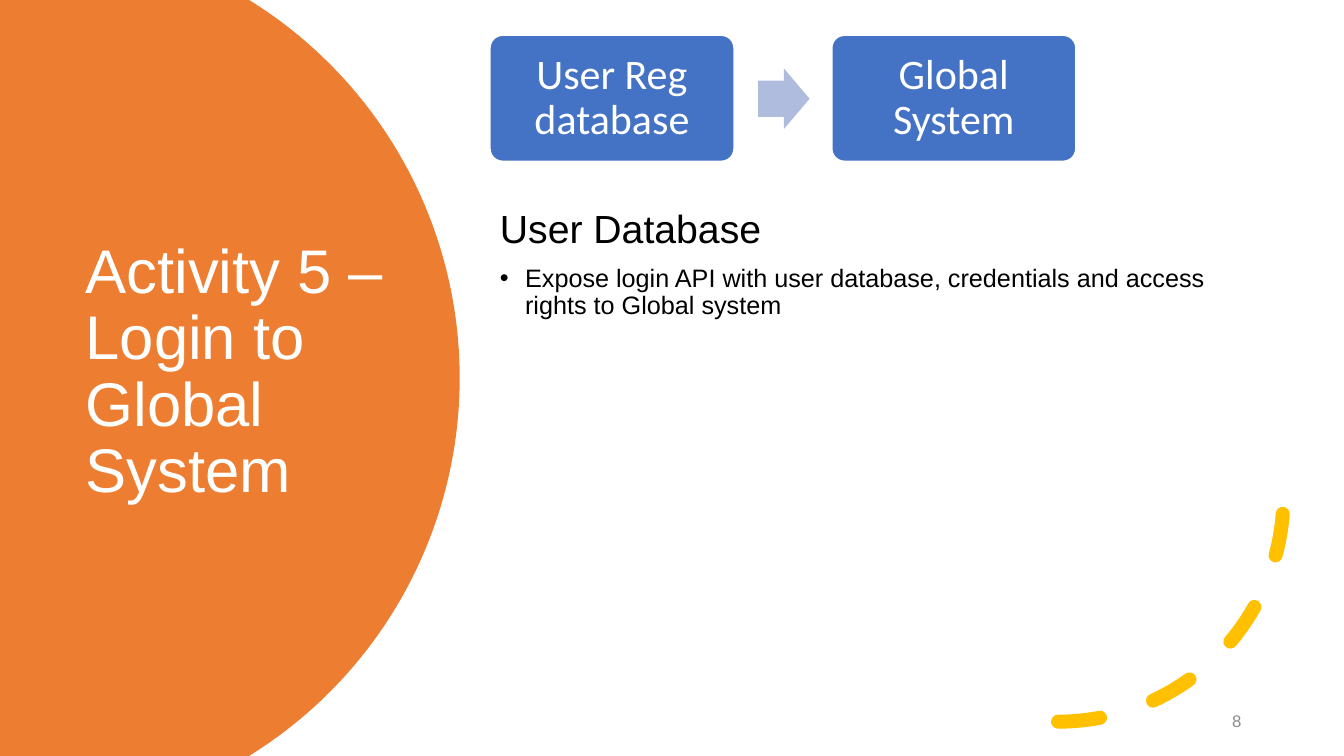
import math
from dataclasses import dataclass

import pptx
import pptx.dml.color
import pptx.enum.dml
import pptx.enum.shapes
import pptx.enum.text
import pptx.oxml.ns
import pptx.util
from lxml import etree

Inches = pptx.util.Inches
Pt = pptx.util.Pt
Shape = pptx.enum.shapes.MSO_SHAPE
Align = pptx.enum.text.PP_ALIGN
Anchor = pptx.enum.text.MSO_ANCHOR
qn = pptx.oxml.ns.qn


@dataclass(frozen=True)
class Theme:
    orange: str = "ED7D31"
    blue: str = "4472C4"
    pale_blue: str = "B0BCDE"
    gold: str = "FFC000"
    white: str = "FFFFFF"
    black: str = "000000"
    gray: str = "8C8C8C"
    font: str = "Arial"
    card_font: str = "Calibri"
    title: int = 44
    card: int = 30
    heading: int = 28
    body: int = 18
    number: int = 12


def color(value):
    return pptx.dml.color.RGBColor.from_string(value)


def write(frame, text, *, size, ink, font, align=Align.LEFT, spacing=0.9,
          before=0, bullet=False):
    """Fill the empty first paragraph, or add another one."""
    para = frame.paragraphs[0]
    if para.runs:
        para = frame.add_paragraph()
    para.alignment = align
    para.line_spacing = spacing
    para.space_before = Pt(before)
    span = para.add_run()
    span.text = text
    span.font.size = Pt(size)
    span.font.name = font
    span.font.color.rgb = color(ink)
    if bullet:
        props = para._p.get_or_add_pPr()
        props.set("marL", str(Inches(0.25)))
        props.set("indent", str(Inches(-0.25)))
        etree.SubElement(props, qn("a:buFont")).set("typeface", "Arial")
        etree.SubElement(props, qn("a:buChar")).set("char", "•")


class SlideBuilder:
    def __init__(self, slide, theme):
        self.slide = slide
        self.theme = theme

    def paint(self, shape, fill=None, line=None, weight=1):
        shape.shadow.inherit = False
        if fill:
            shape.fill.solid()
            shape.fill.fore_color.rgb = color(fill)
        else:
            shape.fill.background()
        if line:
            shape.line.color.rgb = color(line)
            shape.line.width = Pt(weight)
        else:
            shape.line.fill.background()
        return shape

    def shape(self, kind, left, top, width, height, adjust=(), **style):
        shape = self.slide.shapes.add_shape(
            kind, Inches(left), Inches(top), Inches(width), Inches(height))
        for index, value in enumerate(adjust):
            shape.adjustments[index] = value
        return self.paint(shape, **style)

    def outline(self, points, fill):
        scaled = [(Inches(x), Inches(y)) for x, y in points]
        builder = self.slide.shapes.build_freeform(*scaled[0], scale=1.0)
        builder.add_line_segments(scaled[1:], close=True)
        return self.paint(builder.convert_to_shape(), fill=fill)

    def textbox(self, left, top, width, height, anchor=Anchor.TOP):
        box = self.slide.shapes.add_textbox(
            Inches(left), Inches(top), Inches(width), Inches(height))
        frame = box.text_frame
        frame.word_wrap = True
        frame.vertical_anchor = anchor
        return frame

    def card(self, text, left, top, width, height):
        theme = self.theme
        card = self.shape(Shape.ROUNDED_RECTANGLE, left, top, width, height,
                          adjust=[0.1], fill=theme.blue, line=theme.white)
        frame = card.text_frame
        frame.word_wrap = True
        frame.vertical_anchor = Anchor.MIDDLE
        frame.margin_left = frame.margin_right = Inches(0.16)
        frame.margin_top = frame.margin_bottom = Inches(0.16)
        write(frame, text, size=theme.card, ink=theme.white,
              font=theme.card_font, align=Align.CENTER)

    def dashed_arc(self, left, top, size):
        arc = self.shape(Shape.ARC, left, top, size, size,
                         line=self.theme.gold, weight=10)
        arc._element.spPr.find(qn("a:xfrm")).set("flipV", "1")
        arc.line.dash_style = pptx.enum.dml.MSO_LINE.DASH
        line = arc._element.spPr.find(qn("a:ln"))
        line.set("cap", "rnd")
        etree.SubElement(line, qn("a:round"))


deck = pptx.Presentation()
deck.slide_width, deck.slide_height = Inches(13.33), Inches(7.5)
page = deck.slides.add_slide(deck.slide_layouts[6])
theme = Theme()
builder = SlideBuilder(page, theme)

# Orange panel: the slide's left edge closed by a circular arc
radius, center_x, center_y = 4.41, 0.15, 3.75
sweep = math.asin(center_y / radius)
steps = 120
angles = [sweep * (2 * step / steps - 1) for step in range(steps + 1)]
curve = [(center_x + radius * math.cos(angle),
          center_y + radius * math.sin(angle)) for angle in angles]
builder.outline([(0, 0), *curve, (0, 7.5)], theme.orange)

# Title
title = builder.textbox(0.75, 1.26, 3.5, 4.88, Anchor.MIDDLE)
write(title, "Activity 5 –Login to Global System", size=theme.title,
      ink=theme.white, font=theme.font)

# Dashed corner arc
builder.dashed_arc(8.26, 2.69, 4.47)

# Body
body = builder.textbox(4.86, 2.03, 7.55, 5.12)
write(body, "User Database", size=theme.heading, ink=theme.black,
      font=theme.font, before=10)
write(body, "Expose login API with user database, credentials and access "
      "rights to Global system", size=theme.body, ink=theme.black,
      font=theme.font, before=10, bullet=True)

# Slide number
number = builder.textbox(10.43, 6.95, 1.98, 0.4, Anchor.MIDDLE)
write(number, "8", size=theme.number, ink=theme.gray, font=theme.font,
      align=Align.RIGHT, spacing=1.0)
number.paragraphs[0].space_after = Pt(6)

# Flow from the user database to the global system
for index, label in enumerate(["User Reg database", "Global System"]):
    builder.card(label, 4.86 + 3.39 * index, 0.35, 2.42, 1.25)
builder.shape(Shape.RIGHT_ARROW, 7.52, 0.68, 0.51, 0.6, adjust=[0.6, 0.5],
              fill=theme.pale_blue)

deck.save("out.pptx")
